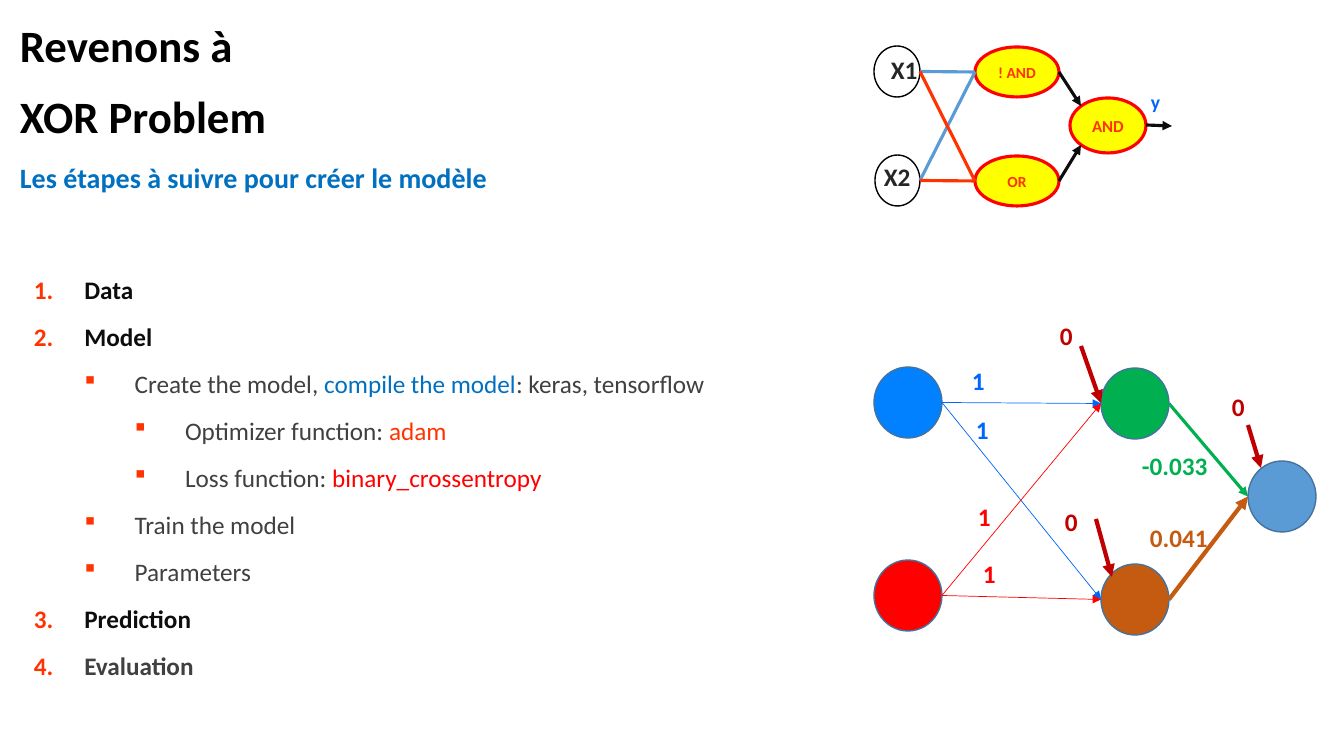
"""Build the XOR problem slide: model steps beside a gate diagram and a weighted network."""
import pptx
import pptx.dml.color
import pptx.enum.shapes
import pptx.enum.text
import pptx.oxml.ns
import pptx.util
from lxml import etree

PX = 914400 / 100.8
FONT = "Calibri"
BLACK, INK, GREY, BLUE = "000000", "0D0D0D", "404040", "0070C0"
ORANGE, RED, WEIGHT_BLUE, BIAS = "FF3300", "FF0000", "0066FF", "C00000"
GREEN, BROWN, SKY, OUTLINE = "00B050", "C55A11", "5B9BD5", "43739E"

TITLE = ["Revenons à", "XOR Problem"]
SUBTITLE = "Les étapes à suivre pour créer le modèle"

STEPS = [
    (0, [("Data", INK)]),
    (0, [("Model", INK)]),
    (1, [("Create the model, ", GREY), ("compile the model", BLUE), (": keras, tensorflow", GREY)]),
    (2, [("Optimizer function: ", GREY), ("adam", ORANGE)]),
    (2, [("Loss function: ", GREY), ("binary_crossentropy", RED)]),
    (1, [("Train the model", GREY)]),
    (1, [("Parameters", GREY)]),
    (0, [("Prediction", INK)]),
    (0, [("Evaluation", GREY)]),
]

# name: (left, top, width, height), fill, outline, outline points, label, label size
NODES = {
    "blue input": ((874, 367, 68, 71), "0180FF", OUTLINE, 1, "", 0),
    "red input": ((874, 560, 68, 71), RED, OUTLINE, 1, "", 0),
    "green hidden": ((1101, 368, 68, 71), GREEN, OUTLINE, 1, "", 0),
    "brown hidden": ((1101, 564, 68, 71), BROWN, OUTLINE, 1, "", 0),
    "output": ((1248, 461, 68, 71), SKY, OUTLINE, 1, "", 0),
    "x1": ((874, 46, 46, 51), None, BLACK, 1, "", 0),
    "x2": ((875, 155, 45, 51), None, BLACK, 1, "", 0),
    "not and": ((975, 47, 84, 50), "FFFF00", RED, 2.25, "! AND", 11),
    "or": ((975, 156, 84, 50), "FFFF00", RED, 2.25, "OR", 11),
    "and": ((1070, 98, 76, 55), "FFFF00", RED, 2.25, "AND", 12),
}

# start node, end node, side of the end node, colour, points, arrowhead
EDGES = [
    ("blue input", "green hidden", "left", "0065FA", 0.5, True),
    ("blue input", "brown hidden", "left", "0065FA", 0.5, True),
    ("red input", "green hidden", "left", RED, 0.5, True),
    ("red input", "brown hidden", "left", RED, 0.5, True),
    ("green hidden", "output", "left", GREEN, 2.25, True),
    ("brown hidden", "output", "left", BROWN, 3, True),
    ("x1", "not and", "left", SKY, 2.25, False),
    ("x2", "not and", "left", SKY, 2.25, False),
    ("x1", "or", "left", ORANGE, 2.25, False),
    ("x2", "or", "left", ORANGE, 2.25, False),
    ("not and", "and", "top left", INK, 2.25, True),
    ("or", "and", "bottom left", INK, 2.25, True),
]

FREE_ARROWS = [
    ((1081, 346), (1101, 403), BIAS, 3),
    ((1096, 519), (1112, 577), BIAS, 3),
    ((1248, 425), (1261, 468), BIAS, 3),
    ((1146, 125), (1172, 126), INK, 2.25),
]

LABELS = [
    ("0", (1050, 315, 50, 40), BIAS, 18),
    ("0", (1055, 501, 50, 40), BIAS, 18),
    ("0", (1222, 386, 50, 40), BIAS, 18),
    ("1", (962, 360, 50, 40), WEIGHT_BLUE, 18),
    ("1", (966, 409, 50, 40), WEIGHT_BLUE, 18),
    ("1", (968, 496, 33, 40), RED, 18),
    ("1", (973, 553, 33, 40), RED, 18),
    ("-0.033", (1132, 445, 94, 40), GREEN, 18),
    ("0.041", (1140, 517, 94, 40), BROWN, 18),
    ("X1", (881, 49, 50, 40), "262626", 18),
    ("X2", (874, 156, 50, 40), "262626", 18),
    ("y", (1141, 85, 28, 34), WEIGHT_BLUE, 14),
]


def px(*lengths):
    return [pptx.util.Emu(round(length * PX)) for length in lengths]


def rgb(colour):
    return pptx.dml.color.RGBColor.from_string(colour)


def style(font, size, colour, bold=True):
    font.name, font.size, font.bold = FONT, pptx.util.Pt(size), bold
    if colour:
        font.color.rgb = rgb(colour)


def add_text(slide, box, lines, size, colour, after=0):
    frame = slide.shapes.add_textbox(*px(*box)).text_frame
    frame.word_wrap = True
    frame.text = "\n".join(lines)
    for paragraph in frame.paragraphs:
        paragraph.space_after = pptx.util.Pt(after)
        style(paragraph.font, size, colour)
    return frame


def add_bullet(paragraph, level):
    indent = px(50.4)[0]
    properties = paragraph._p.get_or_add_pPr()
    properties.set("marL", str(indent * (level + 1)))
    properties.set("indent", str(-indent))

    def child(parent, tag, **attributes):
        return etree.SubElement(parent, pptx.oxml.ns.qn(tag), **attributes)

    child(child(properties, "a:buClr"), "a:srgbClr", val=ORANGE)
    if level:
        child(properties, "a:buFont", typeface="Wingdings")
        child(properties, "a:buChar", char="§")
    else:
        child(properties, "a:buFont", typeface="+mj-lt")
        child(properties, "a:buAutoNum", type="arabicPeriod")


def add_steps(slide, box):
    frame = slide.shapes.add_textbox(*px(*box)).text_frame
    frame.word_wrap = True
    for index, (level, parts) in enumerate(STEPS):
        step = frame.paragraphs[0] if index == 0 else frame.add_paragraph()
        step.level = level
        step.space_after = pptx.util.Pt(12)
        add_bullet(step, level)
        style(step.font, 18, None, bold=level == 0)
        for words, colour in parts:
            run = step.add_run()
            run.text = words
            run.font.color.rgb = rgb(colour)


def add_node(slide, box, fill, outline, points, label, size):
    node = slide.shapes.add_shape(pptx.enum.shapes.MSO_SHAPE.OVAL, *px(*box))
    node.shadow.inherit = False
    if fill:
        node.fill.solid()
        node.fill.fore_color.rgb = rgb(fill)
    else:
        node.fill.background()
    node.line.color.rgb = rgb(outline)
    node.line.width = pptx.util.Pt(points)
    if label:
        frame = node.text_frame
        frame.text = label
        frame.vertical_anchor = pptx.enum.text.MSO_ANCHOR.MIDDLE
        frame.paragraphs[0].alignment = pptx.enum.text.PP_ALIGN.CENTER
        style(frame.paragraphs[0].font, size, ORANGE)


def rim(name, side):
    left, top, width, height = NODES[name][0]
    across, down = {"left": (-1, 0), "right": (1, 0),
                    "top left": (-0.71, -0.71), "bottom left": (-0.71, 0.71)}[side]
    return left + width / 2 * (1 + across), top + height / 2 * (1 + down)


def add_line(slide, start, end, colour, points, arrow=True):
    line = slide.shapes.add_connector(
        pptx.enum.shapes.MSO_CONNECTOR.STRAIGHT, *px(*start, *end))
    line.line.color.rgb = rgb(colour)
    line.line.width = pptx.util.Pt(points)
    if arrow:
        etree.SubElement(line.line._get_or_add_ln(), pptx.oxml.ns.qn("a:tailEnd"), type="triangle")
    etree.SubElement(line._element.spPr, pptx.oxml.ns.qn("a:effectLst"))


def main():
    deck = pptx.Presentation()
    deck.slide_width, deck.slide_height = px(1344, 756)
    slide = deck.slides.add_slide(deck.slide_layouts[6])
    add_text(slide, (10, 13, 671, 136), TITLE, 32, BLACK, after=12)
    add_text(slide, (10, 156, 1334, 44), [SUBTITLE], 20, BLUE, after=12)
    add_steps(slide, (24, 269, 818, 420))
    for node in NODES.values():
        add_node(slide, *node)
    for start, end, side, colour, points, arrow in EDGES:
        add_line(slide, rim(start, "right"), rim(end, side), colour, points, arrow)
    for arrow in FREE_ARROWS:
        add_line(slide, *arrow)
    for words, box, colour, size in LABELS:
        add_text(slide, box, [words], size, colour)
    deck.save("out.pptx")


if __name__ == "__main__":
    main()
